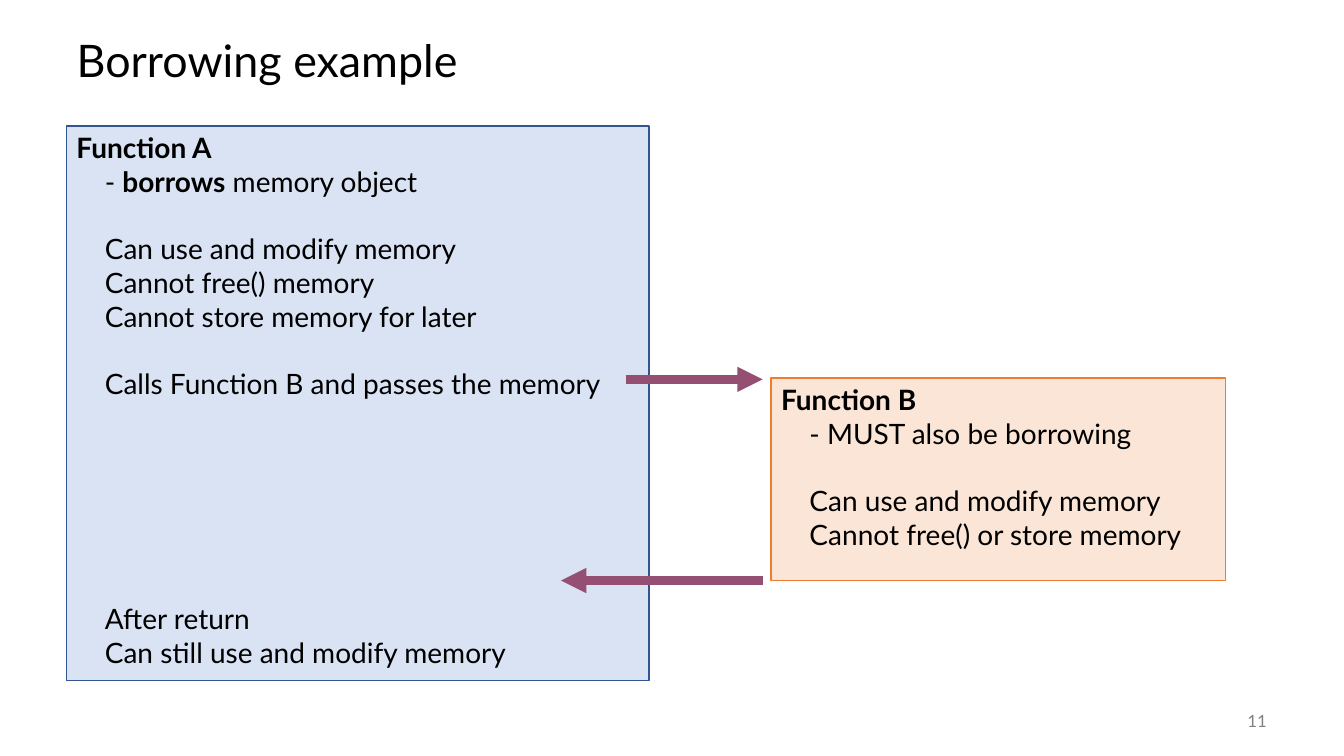
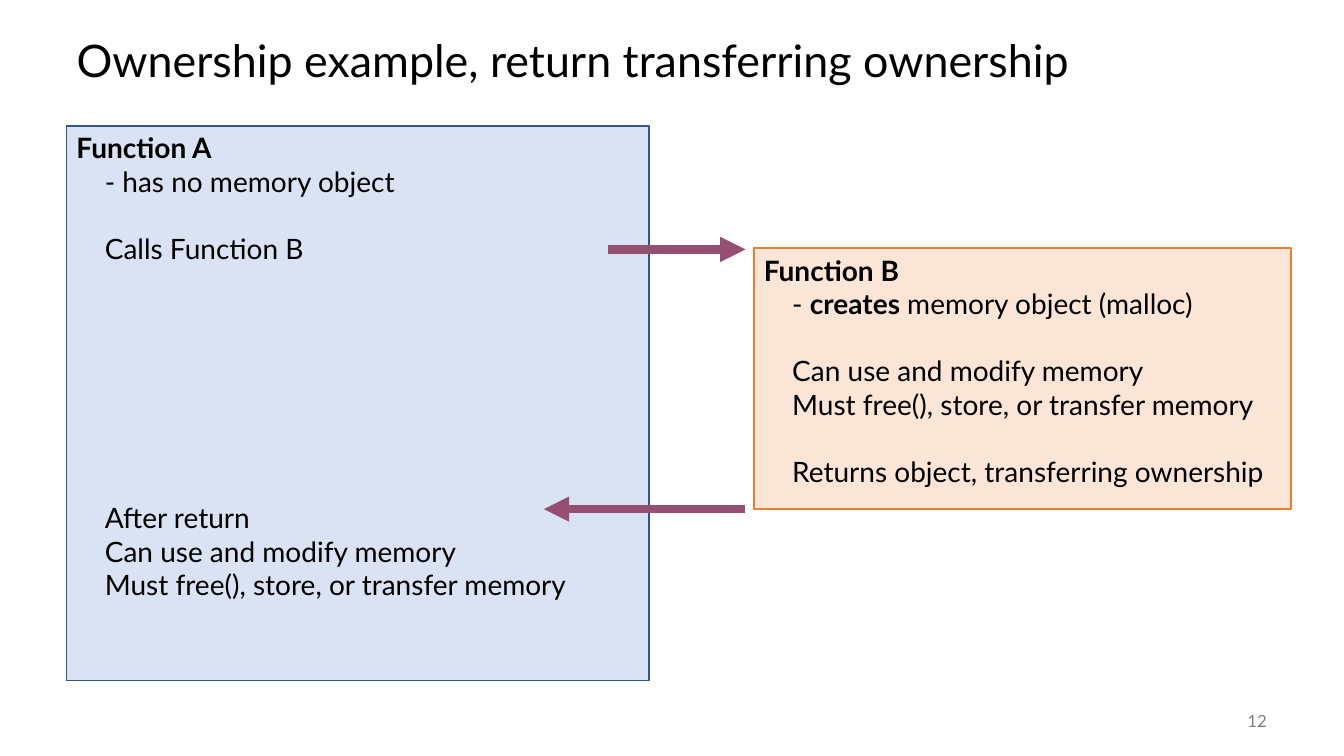
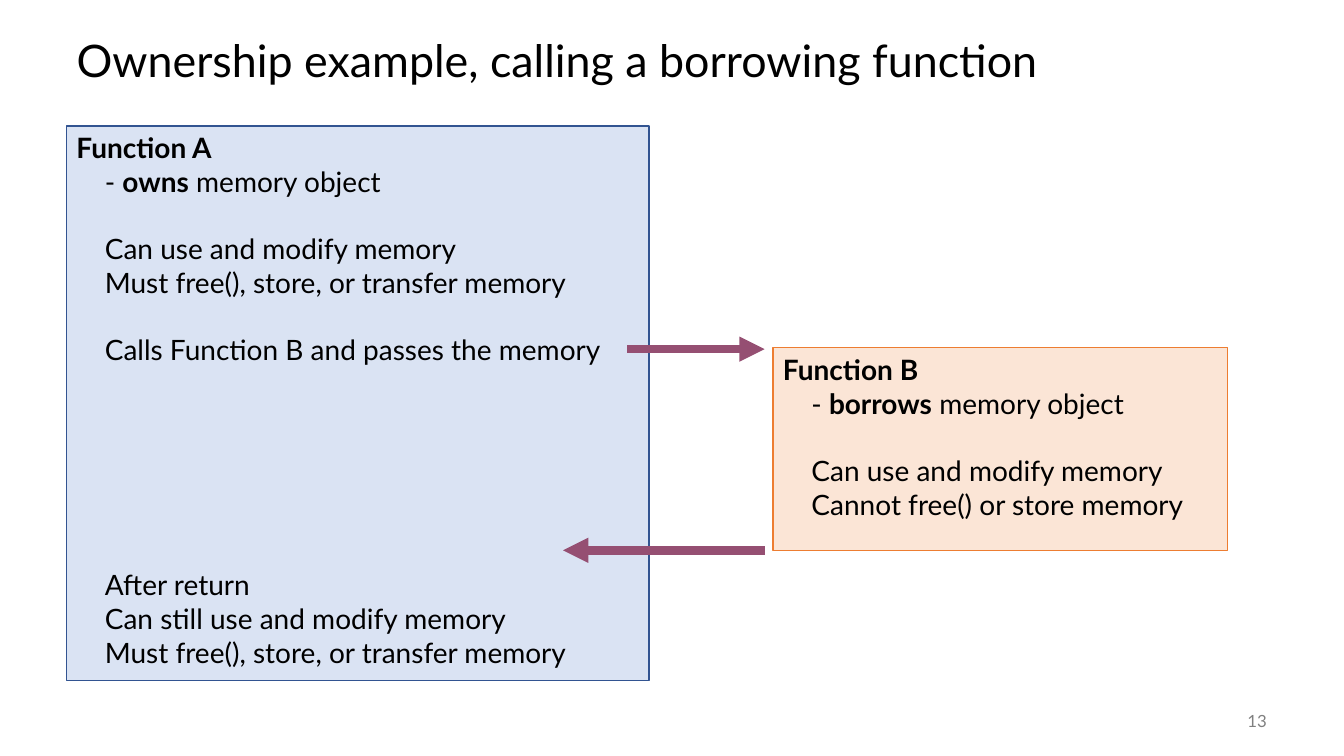
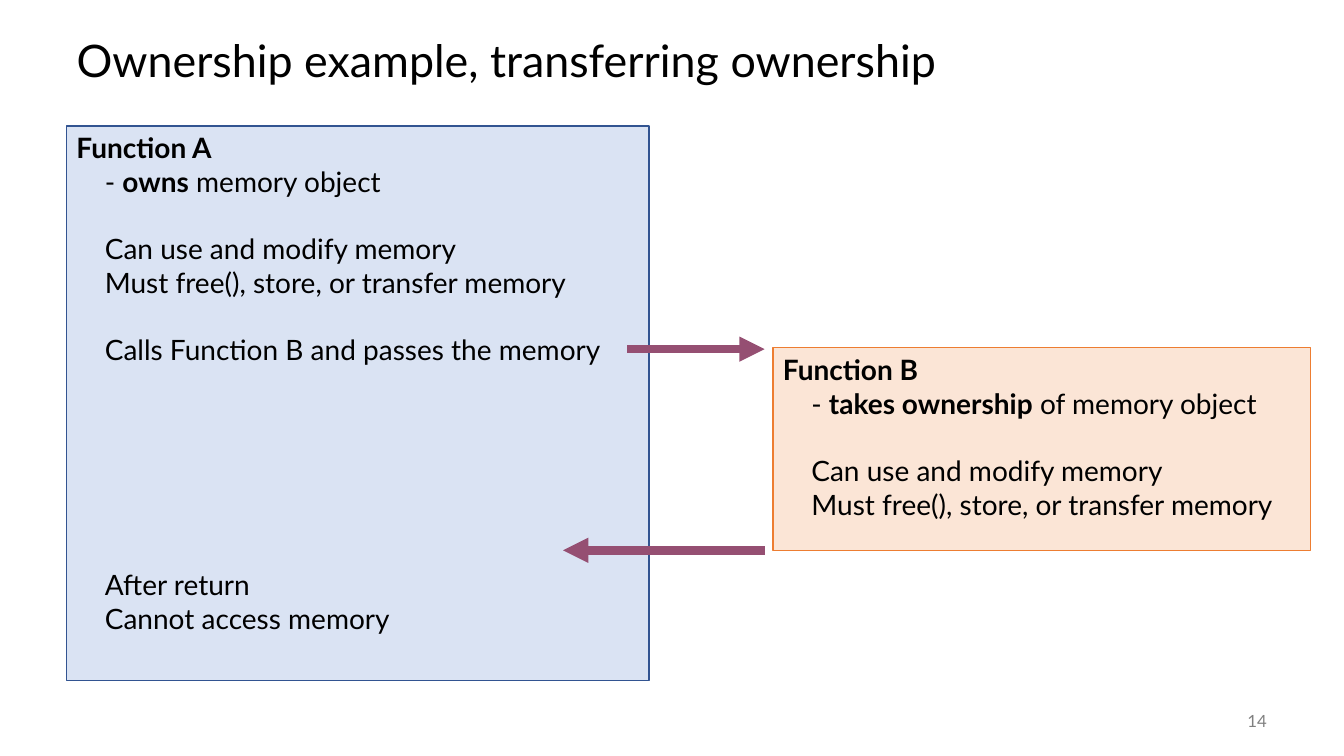
from pptx import Presentation
from pptx.dml.color import RGBColor
from pptx.enum.shapes import MSO_CONNECTOR, MSO_SHAPE
from pptx.enum.text import MSO_ANCHOR, MSO_AUTO_SIZE, PP_ALIGN
from pptx.oxml.ns import qn
from pptx.util import Pt
from lxml import etree

LEFT, RIGHT = PP_ALIGN.LEFT, PP_ALIGN.RIGHT
TOP, MIDDLE = MSO_ANCHOR.TOP, MSO_ANCHOR.MIDDLE
NO_AUTOFIT = MSO_AUTO_SIZE.NONE
RECTANGLE, STRAIGHT = MSO_SHAPE.RECTANGLE, MSO_CONNECTOR.STRAIGHT

FONT = "Lato"
BLACK = RGBColor(0x00, 0x00, 0x00)
GREY = RGBColor(0x80, 0x80, 0x80)
PLUM = RGBColor(0x95, 0x4F, 0x72)
CALLER_COLORS = RGBColor(0xDA, 0xE3, 0xF3), RGBColor(0x32, 0x54, 0x91)
CALLEE_COLORS = RGBColor(0xFB, 0xE5, 0xD6), RGBColor(0xED, 0x7D, 0x31)

# Lengths in points; boxes are left, top, width, height
SLIDE_SIZE = 960, 540
TITLE_BOX = 47.5, 18, 864, 54
NUMBER_BOX = 840, 500.4, 72, 28.8
CALLER_BOX = 47.5, 90, 416, 396
LINE_PITCH = 24
BODY_INDENT = 20.3
ARROW_GAP = 6
CALL_LENGTH, RETURN_LENGTH = 98, 144
FIRST_NUMBER = 11

# Each function is a list of groups: (empty lines above, lines); **bold**
USE = "Can use and modify memory"
STILL_USE = "Can still use and modify memory"
MUST_FREE = "Must free(), store, or transfer memory"
CANNOT_FREE = "Cannot free() or store memory"
PASS_MEMORY = "Calls Function B and passes the memory"
OWNER = [(0, ["- **owns** memory object"]), (1, [USE, MUST_FREE]), (1, [PASS_MEMORY])]

SLIDES = [
    {
        "title": "Borrowing example",
        "caller": [
            (0, ["- **borrows** memory object"]),
            (1, [USE, "Cannot free() memory", "Cannot store memory for later"]),
            (1, [PASS_MEMORY]),
            (6, ["After return", STILL_USE]),
        ],
        "callee": [(0, ["- MUST also be borrowing"]), (1, [USE, CANNOT_FREE])],
        "callee_box": (550.8, 270, 324.7, 144.7),
    },
    {
        "title": "Ownership example, return transferring ownership",
        "caller": [
            (0, ["- has no memory object"]),
            (1, ["Calls Function B"]),
            (7, ["After return", USE, MUST_FREE]),
        ],
        "callee": [
            (0, ["- **creates** memory object (malloc)"]),
            (1, [USE, MUST_FREE]),
            (1, ["Returns object, transferring ownership"]),
        ],
        "callee_box": (538.5, 177.2, 383.8, 186.5),
    },
    {
        "title": "Ownership example, calling a borrowing function",
        "caller": OWNER + [(6, ["After return", STILL_USE, MUST_FREE])],
        "callee": [(0, ["- **borrows** memory object"]), (1, [USE, CANNOT_FREE])],
        "callee_box": (552.2, 248.4, 324.7, 144.7),
    },
    {
        "title": "Ownership example, transferring ownership",
        "caller": OWNER + [(6, ["After return", "Cannot access memory"])],
        "callee": [
            (0, ["- **takes ownership** of memory object"]),
            (1, [USE, MUST_FREE]),
        ],
        "callee_box": (552.2, 248.4, 383.8, 144.7),
    },
]


def write(paragraph, text, size=20, color=BLACK, align=LEFT, indent=0, before=0, spacing=None):
    """Fill a paragraph; parts between double asterisks become bold."""
    properties = paragraph._p.get_or_add_pPr()
    properties.set("marL", str(Pt(indent)))
    properties.set("indent", "0")
    paragraph.alignment = align
    paragraph.space_before = Pt(before)
    if spacing:
        paragraph.line_spacing = spacing
    for index, part in enumerate(text.split("**")):
        if part:
            run = paragraph.add_run()
            run.text = part
            run.font.name = FONT
            run.font.size = Pt(size)
            run.font.color.rgb = color
            run.font.bold = index % 2 == 1


def add_title(slide, text):
    title = slide.shapes.title
    title.left, title.top, title.width, title.height = map(Pt, TITLE_BOX)
    frame = title.text_frame
    frame.auto_size = NO_AUTOFIT
    frame.vertical_anchor = MIDDLE
    write(frame.paragraphs[0], text, size=32, spacing=0.9)


def add_number(slide, number):
    frame = slide.shapes.add_textbox(*map(Pt, NUMBER_BOX)).text_frame
    frame.word_wrap = True
    frame.vertical_anchor = MIDDLE
    write(frame.paragraphs[0], str(number), size=12, color=GREY, align=RIGHT)


def add_function(slide, name, groups, box, colors):
    shape = slide.shapes.add_shape(RECTANGLE, *map(Pt, box))
    shape.shadow.inherit = False
    fill, outline = colors
    shape.fill.solid()
    shape.fill.fore_color.rgb = fill
    shape.line.color.rgb = outline
    shape.line.width = Pt(1)
    frame = shape.text_frame
    frame.word_wrap = True
    frame.vertical_anchor = TOP
    write(frame.paragraphs[0], f"**{name}**")
    for empty_lines, lines in groups:
        for index, line in enumerate(lines):
            before = 0 if index else empty_lines * LINE_PITCH
            write(frame.add_paragraph(), line, indent=BODY_INDENT, before=before)


def add_arrow(slide, start, end, y):
    arrow = slide.shapes.add_connector(STRAIGHT, Pt(start), Pt(y), Pt(end), Pt(y))
    arrow.line.color.rgb = PLUM
    arrow.line.width = Pt(6)
    etree.SubElement(arrow.line._get_or_add_ln(), qn("a:tailEnd"), type="triangle")
    etree.SubElement(arrow._element.spPr, qn("a:effectLst"))


def main():
    deck = Presentation()
    deck.slide_width, deck.slide_height = map(Pt, SLIDE_SIZE)
    title_only = deck.slide_layouts[5]
    for number, content in enumerate(SLIDES, FIRST_NUMBER):
        slide = deck.slides.add_slide(title_only)
        add_title(slide, content["title"])
        add_number(slide, number)
        callee_box = content["callee_box"]
        add_function(slide, "Function A", content["caller"], CALLER_BOX, CALLER_COLORS)
        add_function(slide, "Function B", content["callee"], callee_box, CALLEE_COLORS)
        left, top, _, height = callee_box
        near_callee = left - ARROW_GAP
        add_arrow(slide, near_callee - CALL_LENGTH, near_callee, top + 1)
        add_arrow(slide, near_callee, near_callee - RETURN_LENGTH, top + height)
    deck.save("out.pptx")


if __name__ == "__main__":
    main()
